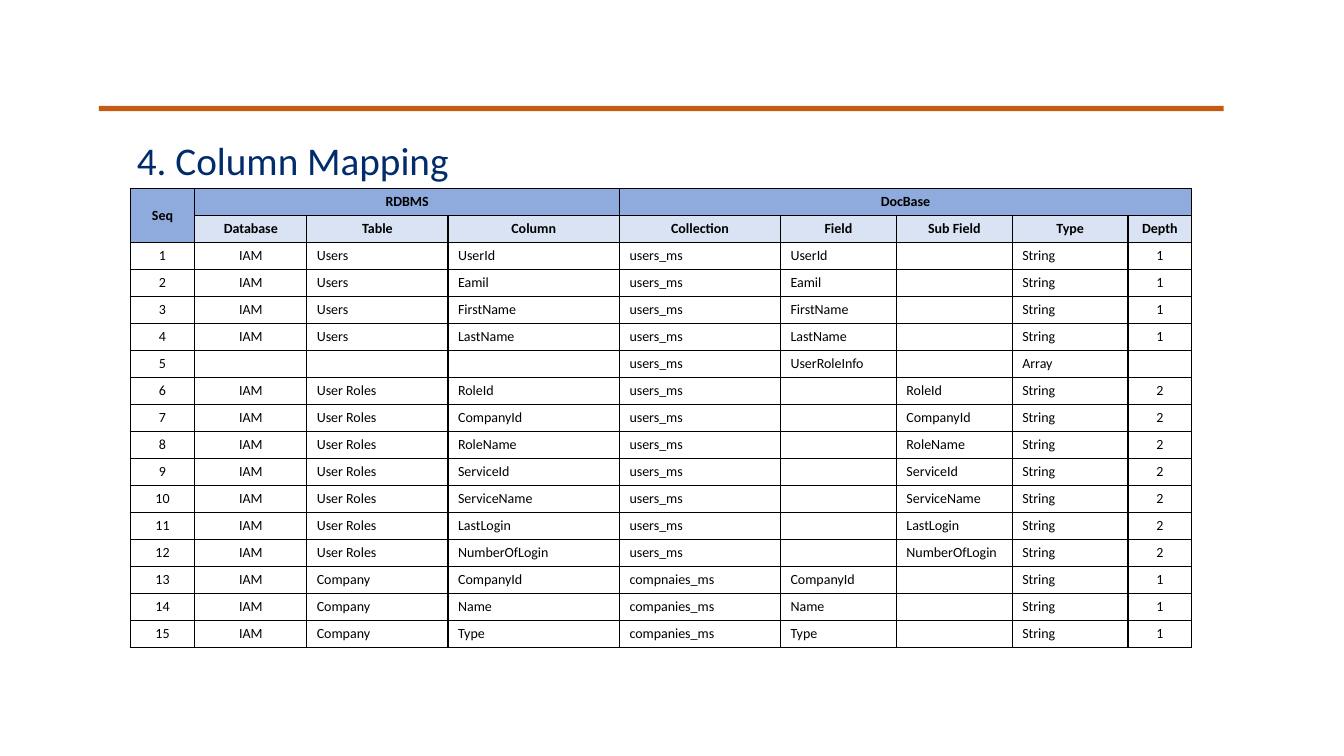
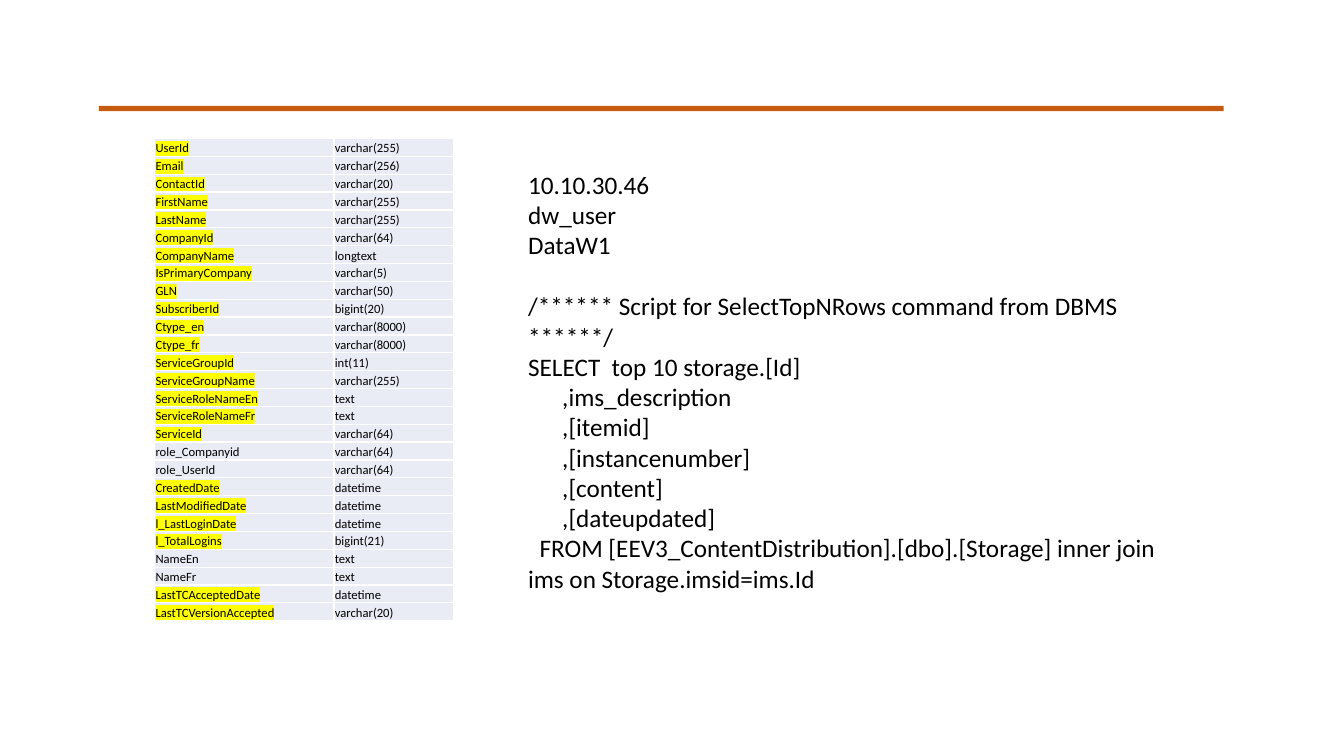
import lxml.etree
import pptx
import pptx.dml.color
import pptx.enum.shapes
import pptx.enum.text
import pptx.oxml.ns
import pptx.util

Cm = pptx.util.Cm
Pt = pptx.util.Pt
qn = pptx.oxml.ns.qn
ALIGN = pptx.enum.text.PP_ALIGN
ANCHOR = pptx.enum.text.MSO_ANCHOR

COLORS = {
    "rule": "C55A11", "title": "002C6C", "text": "000000", "line": "000000",
    "group": "8FAADC", "heading": "DAE3F3", "column": "E9EBF5",
    "gap": "FFFFFF", "mark": "FFFF00",
}

# Font formats
TITLE = {"name": "Calibri", "size": Pt(28)}
BODY = {"name": "Calibri", "size": Pt(18)}
CELL = {"name": "Calibri", "size": Pt(10), "bold": False}
HEADING = {**CELL, "bold": True}
SMALL = {**CELL, "size": Pt(9)}

# Cell formats
MIDDLE = {"vertical_anchor": ANCHOR.MIDDLE}
TIGHT = {"vertical_anchor": ANCHOR.BOTTOM, "margin_left": Cm(0.02),
         "margin_right": Cm(0.02), "margin_top": Cm(0.02), "margin_bottom": Cm(0)}

# Column mapping: source and target of every field
GROUPS = [("RDBMS", 1, 3), ("DocBase", 4, 8)]
HEADINGS = ["Database", "Table", "Column", "Collection", "Field",
            "Sub Field", "Type", "Depth"]
MAPPING_WIDTHS = [1.63, 2.82, 3.56, 4.32, 4.06, 2.92, 2.92, 2.92, 1.6]
CENTERED = {0, 1, 8}
USER_FIELDS = ["UserId", "Eamil", "FirstName", "LastName"]
ROLE_FIELDS = ["RoleId", "CompanyId", "RoleName", "ServiceId", "ServiceName",
               "LastLogin", "NumberOfLogin"]
COMPANY_FIELDS = [("compnaies_ms", "CompanyId"), ("companies_ms", "Name"),
                  ("companies_ms", "Type")]
MAPPING = [
    *[("IAM", "Users", field, "users_ms", field, "", "String", "1")
      for field in USER_FIELDS],
    ("", "", "", "users_ms", "UserRoleInfo", "", "Array", ""),
    *[("IAM", "User Roles", field, "users_ms", "", field, "String", "2")
      for field in ROLE_FIELDS],
    *[("IAM", "Company", field, collection, field, "", "String", "1")
      for collection, field in COMPANY_FIELDS],
]

# Source columns with their types
SOURCE_COLUMNS = [
    ("UserId", "varchar(255)"), ("Email", "varchar(256)"),
    ("ContactId", "varchar(20)"), ("FirstName", "varchar(255)"),
    ("LastName", "varchar(255)"), ("CompanyId", "varchar(64)"),
    ("CompanyName", "longtext"), ("IsPrimaryCompany", "varchar(5)"),
    ("GLN", "varchar(50)"), ("SubscriberId", "bigint(20)"),
    ("Ctype_en", "varchar(8000)"), ("Ctype_fr", "varchar(8000)"),
    ("ServiceGroupId", "int(11)"), ("ServiceGroupName", "varchar(255)"),
    ("ServiceRoleNameEn", "text"), ("ServiceRoleNameFr", "text"),
    ("ServiceId", "varchar(64)"), ("role_Companyid", "varchar(64)"),
    ("role_UserId", "varchar(64)"), ("CreatedDate", "datetime"),
    ("LastModifiedDate", "datetime"), ("l_LastLoginDate", "datetime"),
    ("l_TotalLogins", "bigint(21)"), ("NameEn", "text"), ("NameFr", "text"),
    ("LastTCAcceptedDate", "datetime"), ("LastTCVersionAccepted", "varchar(20)"),
]
UNMARKED = {"role_Companyid", "role_UserId", "NameEn", "NameFr"}

# Query lines: text, first-line indent in cm, space before in points
QUERY = [
    ("10.10.30.46", 0, 0),
    ("dw_user", 0, 0),
    ("DataW1", 0, 0),
    ("/****** Script for SelectTopNRows command from DBMS ******/", 0, 22),
    ("SELECT  top 10 storage.[Id]", 0, 0),
    *[(f",{field}", 0.86, 0) for field in
      ("ims_description", "[itemid]", "[instancenumber]", "[content]", "[dateupdated]")],
    ("FROM [EEV3_ContentDistribution].[dbo].[Storage] inner join "
     "ims on Storage.imsid=ims.Id", 0.29, 0),
]


def rgb(color):
    return pptx.dml.color.RGBColor.from_string(COLORS[color])


def apply_format(target, values):
    for name, value in values.items():
        setattr(target, name, value)


def add_span(para, text, font, color="text"):
    span = para.add_run()
    span.text = text
    apply_format(span.font, font)
    span.font.color.rgb = rgb(color)
    return span


def highlight(span, color):
    fill = span.font._element.find(qn("a:solidFill"))
    mark = lxml.etree.Element(qn("a:highlight"))
    lxml.etree.SubElement(mark, qn("a:srgbClr"), val=COLORS[color])
    fill.addnext(mark)


def add_page(deck):
    """Add a blank page with the orange rule."""
    page = deck.slides.add_slide(deck.slide_layouts[6])
    rule = page.shapes.add_shape(pptx.enum.shapes.MSO_SHAPE.RECTANGLE,
                                 Cm(2.49), Cm(2.67), Cm(28.35), Cm(0.13))
    rule.shadow.inherit = False
    rule.fill.solid()
    rule.fill.fore_color.rgb = rgb("rule")
    rule.line.fill.background()
    return page


def add_text(page, place, lines, font, color="text", space_after=0):
    box = page.shapes.add_textbox(*map(Cm, place))
    frame = box.text_frame
    frame.word_wrap = True
    frame.auto_size = pptx.enum.text.MSO_AUTO_SIZE.SHAPE_TO_FIT_TEXT
    for index, (text, indent, space_before) in enumerate(lines):
        para = frame.add_paragraph() if index else frame.paragraphs[0]
        apply_format(para, {"space_before": Pt(space_before),
                            "space_after": Pt(space_after)})
        if indent:
            para._p.get_or_add_pPr().set("indent", str(Cm(indent)))
        add_span(para, text, font, color)


def add_grid(page, left, top, widths, row_height, row_count):
    frame = page.shapes.add_table(row_count, len(widths), Cm(left), Cm(top),
                                  Cm(sum(widths)), Cm(row_height * row_count))
    grid = frame.table
    apply_format(grid, {"first_row": False, "horz_banding": False})
    for column, width in zip(grid.columns, widths):
        column.width = Cm(width)
    for row in grid.rows:
        row.height = Cm(row_height)
    return grid


def set_borders(grid, color):
    for cell in grid.iter_cells():
        properties = cell._tc.get_or_add_tcPr()
        for index, side in enumerate(("lnL", "lnR", "lnT", "lnB")):
            line = lxml.etree.Element(qn(f"a:{side}"), w=str(Pt(1)))
            fill = lxml.etree.SubElement(line, qn("a:solidFill"))
            lxml.etree.SubElement(fill, qn("a:srgbClr"), val=COLORS[color])
            properties.insert(index, line)


def fill_cell(cell, text, font, layout, fill=None, centered=False):
    """Format a cell and return its text run, if it has one."""
    apply_format(cell, layout)
    if fill:
        cell.fill.solid()
        cell.fill.fore_color.rgb = rgb(fill)
    else:
        cell.fill.background()
    para = cell.text_frame.paragraphs[0]
    para.alignment = ALIGN.CENTER if centered else ALIGN.LEFT
    if text:
        return add_span(para, text, font)
    # An empty cell needs its own text size to keep the row low
    lxml.etree.SubElement(para._p, qn("a:endParaRPr"), sz=str(int(font["size"].pt * 100)))
    return None


def build_mapping(deck):
    page = add_page(deck)
    add_text(page, (3.2, 3.3, 9.63, 1.45), [("4. Column Mapping", 0, 0)],
             TITLE, "title", space_after=12)
    grid = add_grid(page, 3.28, 4.75, MAPPING_WIDTHS, 0.68, len(MAPPING) + 2)

    # Two heading rows
    grid.cell(0, 0).merge(grid.cell(1, 0))
    fill_cell(grid.cell(0, 0), "Seq", HEADING, MIDDLE, "group", True)
    for text, first, last in GROUPS:
        grid.cell(0, first).merge(grid.cell(0, last))
        fill_cell(grid.cell(0, first), text, HEADING, MIDDLE, "group", True)
    for column, text in enumerate(HEADINGS, 1):
        fill_cell(grid.cell(1, column), text, HEADING, MIDDLE, "heading", True)

    # Numbered fields
    for number, values in enumerate(MAPPING, 1):
        for column, text in enumerate((str(number), *values)):
            fill_cell(grid.cell(number + 1, column), text, CELL, MIDDLE,
                      centered=column in CENTERED)
    set_borders(grid, "line")


def build_query(deck):
    page = add_page(deck)
    grid = add_grid(page, 3.9, 3.49, [4.52, 3.02], 0.45, len(SOURCE_COLUMNS))
    for row, (name, kind) in enumerate(SOURCE_COLUMNS):
        span = fill_cell(grid.cell(row, 0), name, SMALL, TIGHT, "column")
        if name not in UNMARKED:
            highlight(span, "mark")
        fill_cell(grid.cell(row, 1), kind, SMALL, TIGHT, "column")
    set_borders(grid, "gap")
    add_text(page, (13.06, 4.14, 16.94, 11.79), QUERY, BODY)


def main():
    deck = pptx.Presentation()
    apply_format(deck, {"slide_width": Cm(33.87), "slide_height": Cm(19.05)})
    build_mapping(deck)
    build_query(deck)
    deck.save("out.pptx")


if __name__ == "__main__":
    main()
